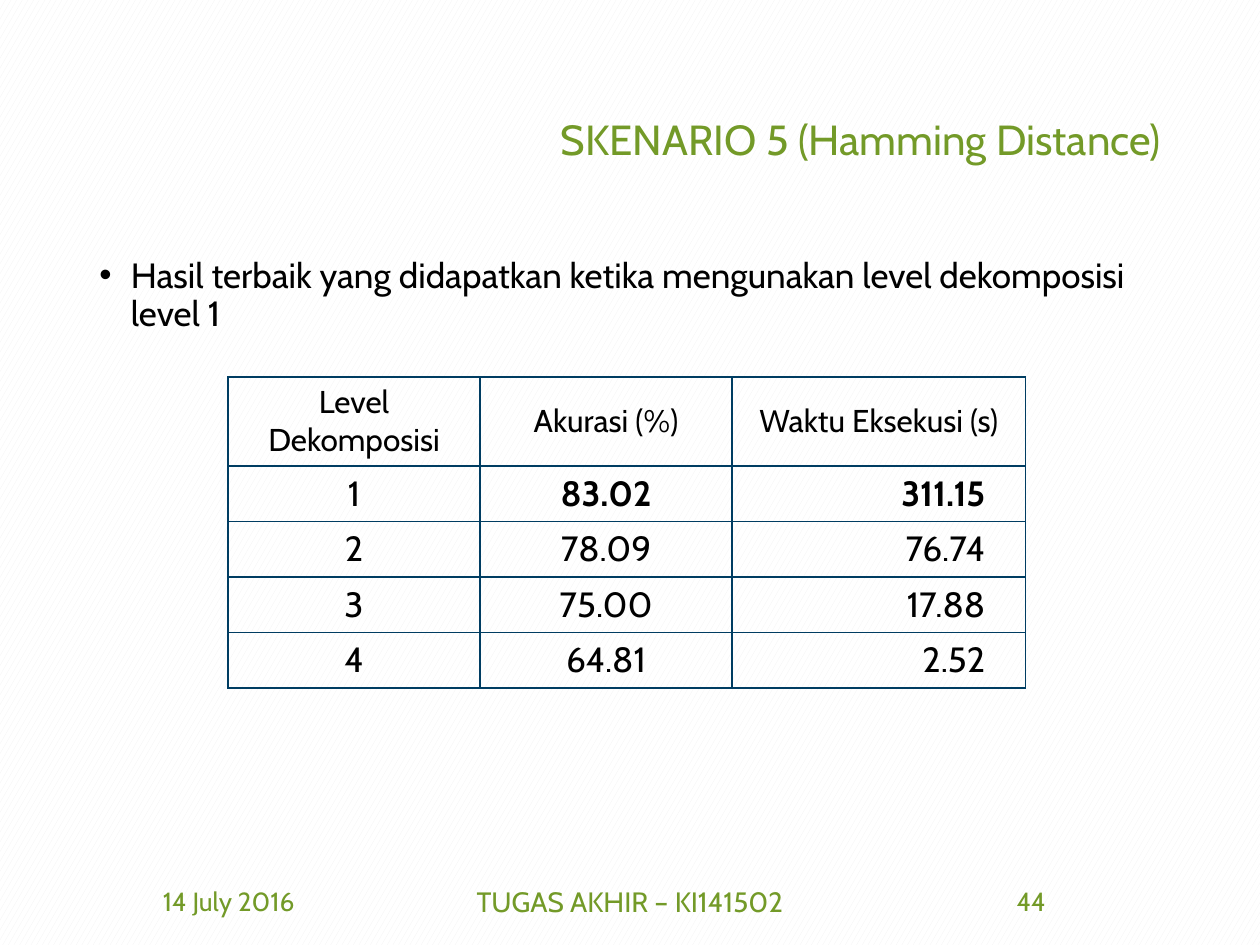
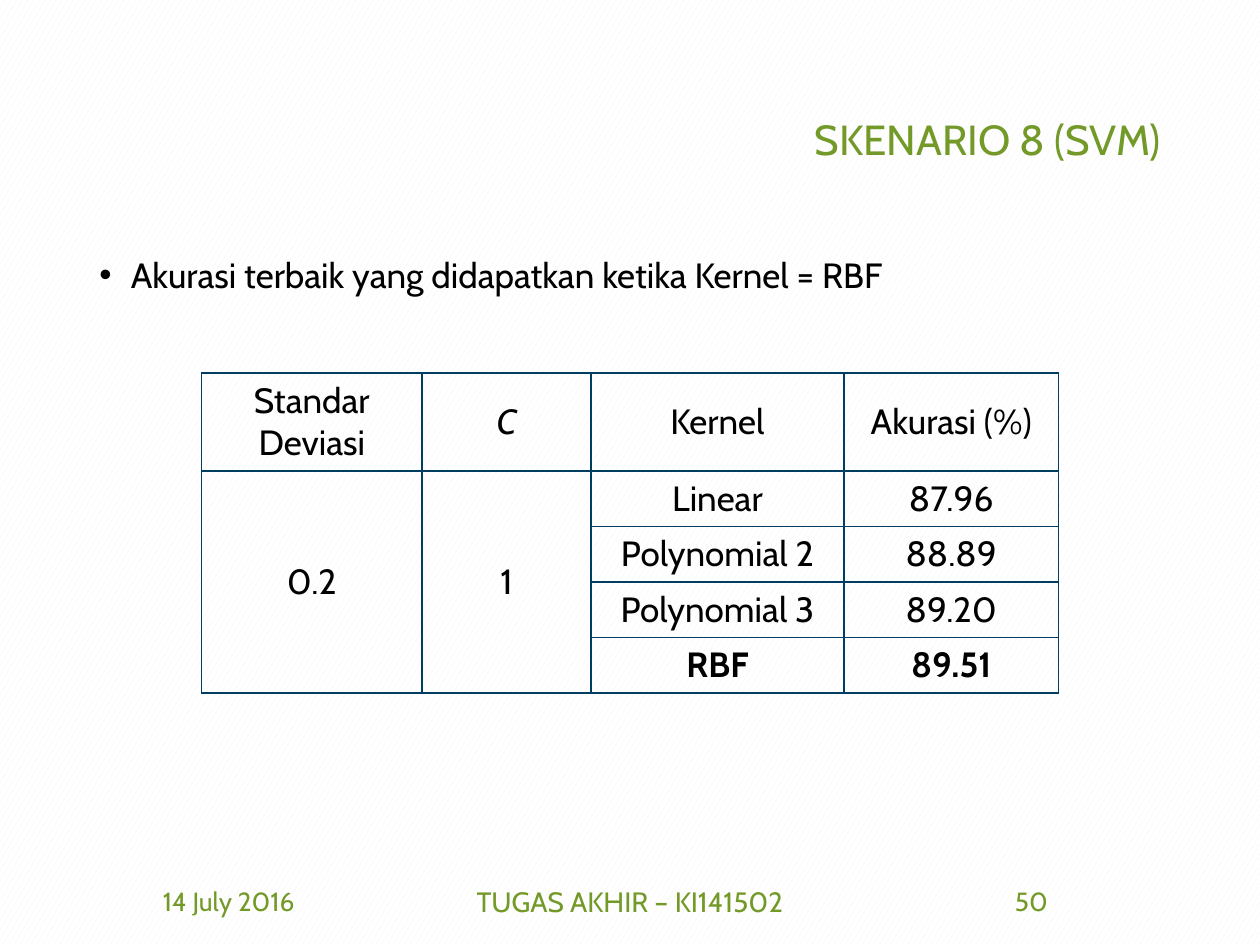
from dataclasses import dataclass
from lxml import etree
from pptx import Presentation
from pptx.dml.color import RGBColor
from pptx.enum.dml import MSO_PATTERN
from pptx.enum.text import MSO_ANCHOR, PP_ALIGN
from pptx.oxml.ns import qn
from pptx.util import Inches, Pt

LEFT, MID, RIGHT = PP_ALIGN.LEFT, PP_ALIGN.CENTER, PP_ALIGN.RIGHT
TOP, CENTER = MSO_ANCHOR.TOP, MSO_ANCHOR.MIDDLE
CONFETTI = MSO_PATTERN.LARGE_CONFETTI


@dataclass(frozen=True)
class Theme:
    font: str = "Cabin"
    green: RGBColor = RGBColor(0x73, 0x9A, 0x28)
    black: RGBColor = RGBColor(0, 0, 0)
    white: RGBColor = RGBColor(0xFF, 0xFF, 0xFF)
    gray: RGBColor = RGBColor(0xF2, 0xF2, 0xF2)
    rule: str = "003D62"
    title: int = 24
    body: int = 20
    foot: int = 16
    small: int = 15


theme = Theme()
WIDE, HIGH = 10, 7.5
EDGE = 0.69
SPAN = WIDE - 2 * EDGE
ROW = 0.44


def style(frame, text, size, color, align, bold=False, slant=False):
    frame.text = text
    frame.word_wrap = True
    for par in frame.paragraphs:
        par.alignment = align
        for run in par.runs:
            font = run.font
            font.name, font.size = theme.font, Pt(size)
            font.color.rgb = color
            font.bold, font.italic = bold, slant


def label(slide, box, text, size, color, align, anchor=CENTER):
    frame = slide.shapes.add_textbox(*map(Inches, box)).text_frame
    style(frame, text, size, color, align)
    frame.vertical_anchor = anchor
    return frame.paragraphs[0]


pages = [
    dict(
        title="SKENARIO 5 (Hamming Distance)",
        point="Hasil terbaik yang didapatkan ketika mengunakan level dekomposisi level 1",
        number="44", left=1.81, top=2.99, cols=[2, 2, 2.33], head=0.71, size=18,
        rows=[
            ["Level Dekomposisi", "Akurasi (%)", "Waktu Eksekusi (s)"],
            ["1", "83.02", "311.15"],
            ["2", "78.09", "76.74"],
            ["3", "75.00", "17.88"],
            ["4", "64.81", "2.52"],
        ],
        bold={"83.02", "311.15"}, merge=[], flush=2,
    ),
    dict(
        title="SKENARIO 8 (SVM)",
        point="Akurasi terbaik yang didapatkan ketika Kernel = RBF",
        number="50", left=1.6, top=2.96, cols=[1.75, 1.34, 2.01, 1.7], head=0.78, size=20,
        rows=[
            ["Standar\nDeviasi", "C", "Kernel", "Akurasi (%)"],
            ["0.2", "1", "Linear", "87.96"],
            ["", "", "Polynomial 2", "88.89"],
            ["", "", "Polynomial 3", "89.20"],
            ["", "", "RBF", "89.51"],
        ],
        bold={"RBF", "89.51"}, merge=[0, 1], flush=None,
    ),
]

deck = Presentation()
deck.slide_width, deck.slide_height = Inches(WIDE), Inches(HIGH)

for page in pages:
    slide = deck.slides.add_slide(deck.slide_layouts[6])
    back = slide.background.fill
    back.patterned()
    back.pattern = CONFETTI
    back.fore_color.rgb, back.back_color.rgb = theme.gray, theme.white

    title = label(slide, (EDGE, 0.4, SPAN, 1.45), page["title"], theme.title, theme.green, RIGHT)
    title.line_spacing = 0.9

    point = label(slide, (EDGE, 2, SPAN, 4.76), page["point"], theme.body, theme.black, LEFT, TOP)
    point.line_spacing, point.space_before = 0.9, Pt(10)
    props = point._p.get_or_add_pPr()
    props.set("marL", str(Inches(0.25)))
    props.set("indent", str(-Inches(0.25)))
    etree.SubElement(props, qn("a:buFont"), typeface="Arial")
    etree.SubElement(props, qn("a:buChar"), char="•")

    for left, width, text, size in [
        (EDGE, 2.25, "14 July 2016", theme.small),
        ((WIDE - 3.38) / 2, 3.38, "TUGAS AKHIR – KI141502", theme.foot),
        (WIDE - EDGE - 2.25, 2.25, page["number"], theme.small),
    ]:
        label(slide, (left, 6.95, width, 0.4), text, size, theme.green, MID)

    rows, cols = page["rows"], page["cols"]
    tall = page["head"] + ROW * (len(rows) - 1)
    box = map(Inches, (page["left"], page["top"], sum(cols), tall))
    table = slide.shapes.add_table(len(rows), len(cols), *box).table
    table.first_row = table.horz_banding = False
    for col, width in zip(table.columns, cols):
        col.width = Inches(width)
    for r, row in enumerate(rows):
        table.rows[r].height = Inches(ROW if r else page["head"])
        for c, text in enumerate(row):
            cell = table.cell(r, c)
            flush = r > 0 and c == page["flush"]
            size = theme.body if r else page["size"]
            style(cell.text_frame, text, size, theme.black, RIGHT if flush else MID,
                  text in page["bold"], text == "C")
            cell.vertical_anchor = CENTER
            if flush:
                cell.margin_right = Inches(0.32)
            cell.fill.background()
            for i, side in enumerate("LRTB"):
                line = etree.Element(qn(f"a:ln{side}"), w=str(Pt(1)))
                fill = etree.SubElement(line, qn("a:solidFill"))
                etree.SubElement(fill, qn("a:srgbClr"), val=theme.rule)
                cell._tc.get_or_add_tcPr().insert(i, line)
    for c in page["merge"]:
        table.cell(1, c).merge(table.cell(len(rows) - 1, c))

deck.save("out.pptx")
